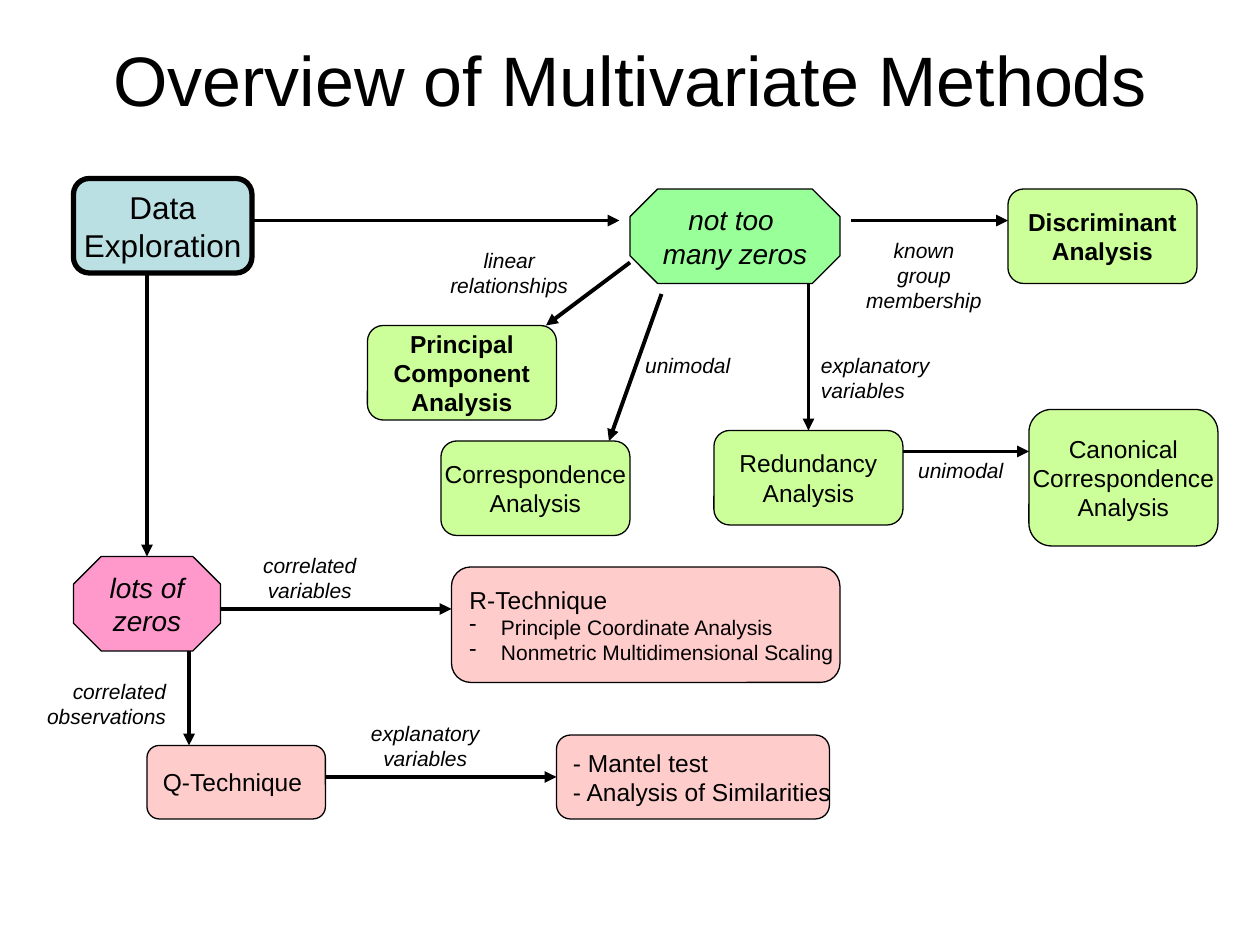
from dataclasses import dataclass

from lxml import etree
from pptx import Presentation
from pptx.dml.color import RGBColor
from pptx.enum.shapes import MSO_CONNECTOR, MSO_SHAPE
from pptx.enum.text import MSO_ANCHOR, MSO_AUTO_SIZE, PP_ALIGN
from pptx.oxml.ns import qn
from pptx.util import Inches, Pt

BLACK = RGBColor(0x00, 0x00, 0x00)
BLUE = RGBColor(0xBB, 0xE0, 0xE3)
GREEN = RGBColor(0x99, 0xFF, 0x99)
LIME = RGBColor(0xCC, 0xFF, 0x99)
PINK = RGBColor(0xFF, 0x99, 0xCC)
ROSE = RGBColor(0xFF, 0xCC, 0xCC)

ROUNDED = MSO_SHAPE.ROUNDED_RECTANGLE
OCTAGON = MSO_SHAPE.OCTAGON
STRAIGHT = MSO_CONNECTOR.STRAIGHT
LEFT, CENTER, RIGHT = PP_ALIGN.LEFT, PP_ALIGN.CENTER, PP_ALIGN.RIGHT
MIDDLE = MSO_ANCHOR.MIDDLE
GROW = MSO_AUTO_SIZE.SHAPE_TO_FIT_TEXT
TOP_SIDE, LEFT_SIDE = 0, 1

FONT = "Arial"
CELL = Inches(1) / 12
LABEL_WIDTH = 15
METHOD_SIZE = (18, 9)


@dataclass
class Region:
    """A part of the page, placed in grid cells of a twelfth of an inch."""
    page: object
    column: int
    row: int
    columns: int
    rows: int

    def point(self, column, row):
        """Turn a cell inside the region into a position on the page."""
        return round((self.column + column) * CELL), round((self.row + row) * CELL)

    def box(self, column, row, columns, rows):
        """Turn a block of cells into left, top, width and height."""
        return *self.point(column, row), round(columns * CELL), round(rows * CELL)


def write(frame, text, size, align=CENTER, bold=False, italic=False):
    """Fill a text frame and format every paragraph alike."""
    frame.text = text
    for para in frame.paragraphs:
        para.alignment = align
        for span in para.runs:
            font = span.font
            font.name, font.size = FONT, Pt(size)
            font.bold, font.italic = bold, italic
            font.color.rgb = BLACK


def add_node(region, cells, text, fill, size=14, kind=ROUNDED, border=0.75, **style):
    """Draw a filled shape that holds the name of a step or method."""
    node = region.page.shapes.add_shape(kind, *region.box(*cells))
    node.shadow.inherit = False
    node.fill.solid()
    node.fill.fore_color.rgb = fill
    node.line.color.rgb = BLACK
    node.line.width = Pt(border)
    frame = node.text_frame
    frame.word_wrap = False
    frame.vertical_anchor = MIDDLE
    write(frame, text, size, **style)
    return node


def add_label(region, column, row, text, rows=6, columns=LABEL_WIDTH, align=CENTER):
    """Place an italic condition next to an arrow."""
    label = region.page.shapes.add_textbox(*region.box(column, row, columns, rows))
    label.text_frame.word_wrap = True
    label.text_frame.auto_size = GROW
    write(label.text_frame, text, 12, align, italic=True)


def add_arrow(region, start, end, target=None, side=TOP_SIDE):
    """Draw an arrow between two cells, joined to the target if there is one."""
    arrow = region.page.shapes.add_connector(
        STRAIGHT, *region.point(*start), *region.point(*end))
    arrow.line.color.rgb = BLACK
    arrow.line.width = Pt(2.25)
    etree.SubElement(arrow.line._get_or_add_ln(), qn("a:tailEnd"), type="triangle")
    etree.SubElement(arrow._element.spPr, qn("a:effectLst"))
    if target is not None:
        arrow.end_connect(target, side)


def add_dashes(paragraphs):
    """Turn paragraphs into smaller, hanging dash bullets."""
    for para in paragraphs:
        properties = para._p.get_or_add_pPr()
        properties.set("marL", str(Inches(0.25)))
        properties.set("indent", str(-Inches(0.25)))
        etree.SubElement(properties, qn("a:buChar"), char="-")
        for span in para.runs:
            span.font.size = Pt(12)


def draw_title(region):
    """Write the heading across the whole region."""
    title = region.page.shapes.add_textbox(
        *region.box(0, 0, region.columns, region.rows))
    title.text_frame.word_wrap = True
    title.text_frame.vertical_anchor = MIDDLE
    write(title.text_frame, "Overview of Multivariate Methods", 40)


def draw_start(region):
    """Draw the starting step and its arrows to both branches."""
    add_node(region, (0, 0, 17, 9), "Data\nExploration", BLUE, size=18, border=3)
    add_arrow(region, (17, 4), (52, 4))
    add_arrow(region, (7, 9), (7, 36))


def draw_few_zeros(region):
    """Draw the branch for data with few zeros."""
    add_node(region, (25, 0, 20, 9), "not too \nmany zeros", GREEN,
             size=16, kind=OCTAGON, italic=True)
    methods = [
        (61, 0, "Discriminant\nAnalysis", True),
        (0, 13, "Principal\nComponent\nAnalysis", True),
        (7, 24, "Correspondence\nAnalysis", False),
        (33, 23, "Redundancy\nAnalysis", False),
    ]
    for column, row, text, bold in methods:
        node = add_node(region, (column, row, *METHOD_SIZE), text, LIME, bold=bold)
    add_node(region, (63, 21, 18, 13), "Canonical\nCorrespondence\nAnalysis", LIME)

    add_arrow(region, (46, 3), (61, 3))
    add_arrow(region, (25, 7), (17, 13))
    add_arrow(region, (28, 10), (23, 24))
    add_arrow(region, (42, 9), (42, 23), node)
    add_arrow(region, (51, 25), (63, 25))

    add_label(region, 45, 4, "known\ngroup\nmembership", rows=8.4, columns=16)
    add_label(region, 6, 5, "linear\nrelationships")
    add_label(region, 42, 15, "explanatory\nvariables", align=LEFT)
    for column, row in ((23, 15), (49, 25)):
        add_label(region, column, row, "unimodal", rows=3.6)


def draw_many_zeros(region):
    """Draw the branch for data with lots of zeros."""
    add_node(region, (5, 0, 14, 9), "lots of\nzeros", PINK,
             size=16, kind=OCTAGON, italic=True)
    ordination = add_node(
        region, (41, 1, 37, 11),
        "R-Technique\nPrinciple Coordinate Analysis\nNonmetric Multidimensional Scaling",
        ROSE, align=LEFT)
    add_dashes(ordination.text_frame.paragraphs[1:])
    add_node(region, (12, 18, 17, 7), "Q-Technique", ROSE, align=LEFT)
    tests = add_node(region, (51, 17, 26, 8),
                     "- Mantel test\n- Analysis of Similarities", ROSE, align=LEFT)

    add_arrow(region, (19, 5), (41, 5))
    add_arrow(region, (16, 9), (16, 18))
    add_arrow(region, (29, 21), (51, 21), tests, LEFT_SIDE)

    add_label(region, 20, -1, "correlated variables")
    add_label(region, 0, 11, "correlated observations", align=RIGHT)
    add_label(region, 31, 15, "explanatory\nvariables")


def main():
    """Build the one-page deck and save it."""
    deck = Presentation()
    deck.slide_width, deck.slide_height = Inches(10), Inches(7.5)
    page = deck.slides.add_slide(deck.slide_layouts[6])
    draw_title(Region(page, 6, 0, 108, 15))
    draw_start(Region(page, 7, 17, 52, 36))
    draw_few_zeros(Region(page, 35, 18, 81, 34))
    draw_many_zeros(Region(page, 2, 53, 78, 25))
    deck.save("out.pptx")


if __name__ == "__main__":
    main()
